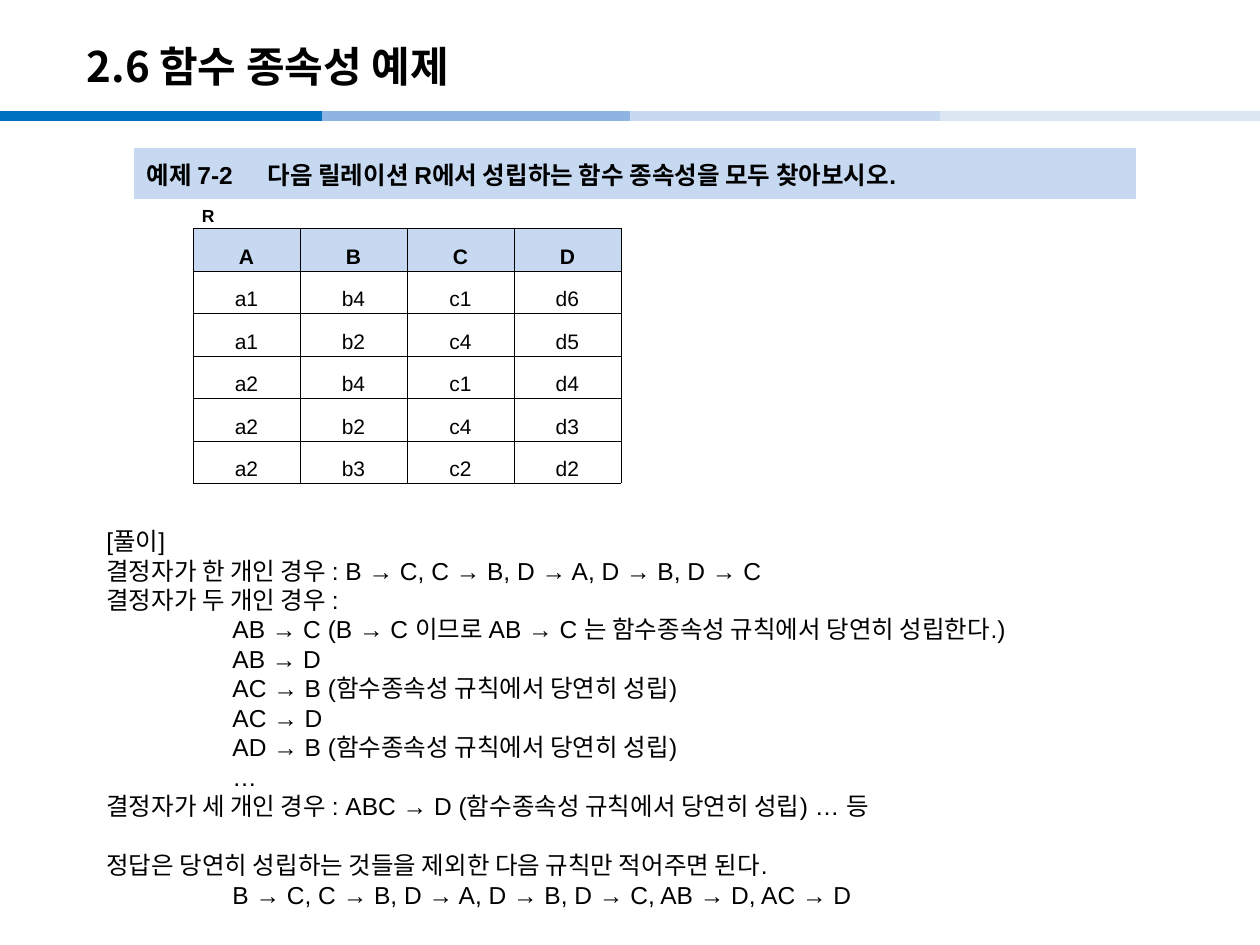
from lxml.etree import SubElement
from pptx import Presentation
from pptx.dml.color import RGBColor
from pptx.enum.shapes import MSO_CONNECTOR
from pptx.enum.text import MSO_ANCHOR, MSO_AUTO_SIZE, PP_ALIGN
from pptx.oxml.ns import qn
from pptx.util import Emu, Pt

EMU_PER_PX = 914400 / 126
COLORS = {
    "ink": "000000",
    "paper": "FFFFFF",
    "pale": "C6D9F1",
    "bands": ["0070C0", "8EB4E3", "C6D9F1", "DCE6F2"],
}
HANGUL_FONT = "Noto Sans CJK KR"
PLAIN_TABLE_STYLE = "{2D5ABB26-0587-4C30-8999-92F81FD0307C}"
TITLE_FORMAT = {"size": Pt(24), "name": HANGUL_FONT, "bold": True}
QUESTION_FORMAT = {"size": Pt(14), "name": "Arial", "bold": True}
CAPTION_FORMAT = {"size": Pt(10), "name": "Arial", "bold": True}
HEADING_FORMAT = {"size": Pt(12), "name": "Arial", "bold": True}
VALUE_FORMAT = {"size": Pt(12), "name": "Arial", "bold": False}
SOLUTION_FORMAT = {"size": Pt(14), "name": "Arial", "bold": False}

RELATION = [
    ["A", "B", "C", "D"],
    ["a1", "b4", "c1", "d6"],
    ["a1", "b2", "c4", "d5"],
    ["a2", "b4", "c1", "d4"],
    ["a2", "b2", "c4", "d3"],
    ["a2", "b3", "c2", "d2"],
]
SOLUTION = [
    "[풀이]",
    "결정자가 한 개인 경우 : B → C, C → B, D → A, D → B, D → C",
    "결정자가 두 개인 경우 :",
    "\tAB → C (B → C 이므로 AB → C 는 함수종속성 규칙에서 당연히 성립한다.)\v\tAB → D",
    "\tAC → B (함수종속성 규칙에서 당연히 성립)",
    "\tAC → D",
    "\tAD → B (함수종속성 규칙에서 당연히 성립)",
    "\t…",
    "결정자가 세 개인 경우 : ABC → D (함수종속성 규칙에서 당연히 성립) … 등",
    "정답은 당연히 성립하는 것들을 제외한 다음 규칙만 적어주면 된다.",
    "\tB → C, C → B, D → A, D → B, D → C, AB → D, AC → D",
]


def px(length):
    return Emu(round(length * EMU_PER_PX))


def rgb(color):
    return RGBColor.from_string(COLORS.get(color, color))


def set_values(target, values):
    for key, value in values.items():
        setattr(target, key, value)


def place(element, left, top, width, height):
    set_values(element, {"left": px(left), "top": px(top),
                         "width": px(width), "height": px(height)})


def write(paragraph, text, font_format):
    paragraph.text = text
    for run in paragraph.runs:
        set_values(run.font, font_format)
        run.font.color.rgb = rgb("ink")
        run.font._element.set("kern", "0")
        SubElement(run.font._element, qn("a:ea"), typeface=HANGUL_FONT)


def add_tab_stop(paragraph, position):
    tabs = SubElement(paragraph._p.get_or_add_pPr(), qn("a:tabLst"))
    SubElement(tabs, qn("a:tab"), pos=str(px(position)), algn="l")


def fill_cell(cell, color=None):
    if color:
        cell.fill.solid()
        cell.fill.fore_color.rgb = rgb(color)
    else:
        cell.fill.background()


def add_borders(cell, sides):
    properties = cell._tc.get_or_add_tcPr()
    for index, side in enumerate(sides):
        border = properties.makeelement(qn(f"a:ln{side}"), {"w": "3600"})
        fill = SubElement(border, qn("a:solidFill"))
        SubElement(fill, qn("a:srgbClr"), val=COLORS["ink"])
        properties.insert(index, border)


def add_plain_table(slide, left, top, column_widths, row_heights):
    frame = slide.shapes.add_table(
        len(row_heights), len(column_widths), px(left), px(top),
        px(sum(column_widths)), px(sum(row_heights)))
    table = frame.table
    set_values(table, {"first_row": False, "horz_banding": False})
    table._tbl.tblPr.find(qn("a:tableStyleId")).text = PLAIN_TABLE_STYLE
    for column, width in zip(table.columns, column_widths):
        column.width = px(width)
    for row, height in zip(table.rows, row_heights):
        row.height = px(height)
    return table


def add_title(slide, text):
    title = slide.shapes.title
    place(title, 74, 28, 1042, 76)
    set_values(title.text_frame, {"vertical_anchor": MSO_ANCHOR.MIDDLE,
                                  "auto_size": MSO_AUTO_SIZE.NONE,
                                  "word_wrap": True})
    heading = title.text_frame.paragraphs[0]
    write(heading, text, TITLE_FORMAT)
    heading.alignment = PP_ALIGN.LEFT


def add_band(slide, left, color):
    band = slide.shapes.add_connector(
        MSO_CONNECTOR.STRAIGHT, px(left), px(116), px(left + 322), px(116))
    band.line.color.rgb = rgb(color)
    band.line.width = Pt(6)
    SubElement(band._element.spPr, qn("a:effectLst"))


def add_question(slide, text):
    table = add_plain_table(slide, 134, 148, [1002], [51, 51])
    question, below = table.cell(0, 0), table.cell(1, 0)
    fill_cell(question, "pale")
    fill_cell(below, "paper")
    question.vertical_anchor = MSO_ANCHOR.MIDDLE
    paragraph = question.text_frame.paragraphs[0]
    write(paragraph, text, QUESTION_FORMAT)
    add_tab_stop(paragraph, 121)


def write_relation_cell(cell, text, font_format, alignment):
    set_values(cell, {"vertical_anchor": MSO_ANCHOR.MIDDLE,
                      "margin_left": px(9), "margin_right": px(9),
                      "margin_top": px(2), "margin_bottom": px(2)})
    paragraph = cell.text_frame.paragraphs[0]
    write(paragraph, text, font_format)
    set_values(paragraph, {"alignment": alignment, "line_spacing": 1.6})
    if not text:
        size = round(font_format["size"].pt * 100)
        SubElement(paragraph._p, qn("a:endParaRPr"), sz=str(size))


def add_relation(slide, name, rows):
    heights = [35] + [43 - index % 2 for index in range(len(rows))]
    table = add_plain_table(slide, 193, 193, [107] * len(rows[0]), heights)
    for column_index, cell in enumerate(table.rows[0].cells):
        write_relation_cell(cell, "" if column_index else name,
                            CAPTION_FORMAT, PP_ALIGN.LEFT)
        fill_cell(cell)
        add_borders(cell, "B")
    table.cell(0, 0).merge(table.cell(0, 2))
    for row_index, row in enumerate(rows, 1):
        is_heading = row_index == 1
        for column_index, value in enumerate(row):
            cell = table.cell(row_index, column_index)
            write_relation_cell(
                cell, value, HEADING_FORMAT if is_heading else VALUE_FORMAT,
                PP_ALIGN.CENTER)
            fill_cell(cell, "pale" if is_heading else None)
            add_borders(cell, "LRTB")


def add_solution(slide, lines):
    solution = slide.shapes.add_textbox(px(94), px(520), px(1052), px(398))
    frame = solution.text_frame
    frame.word_wrap = True
    for index, line in enumerate(lines):
        paragraph = frame.add_paragraph() if index else frame.paragraphs[0]
        write(paragraph, line, SOLUTION_FORMAT)
        if line.startswith("정답은"):
            paragraph.space_before = Pt(17)
        if line.startswith("\t"):
            add_tab_stop(paragraph, 126)


def main():
    presentation = Presentation()
    set_values(presentation, {"slide_width": px(1260), "slide_height": px(945)})
    slide = presentation.slides.add_slide(presentation.slide_layouts[5])
    for left, color in zip([0, 322, 630, 940], COLORS["bands"]):
        add_band(slide, left, color)
    add_question(slide, "예제 7-2\t다음 릴레이션 R에서 성립하는 함수 종속성을 모두 찾아보시오.")
    add_relation(slide, "R", RELATION)
    add_solution(slide, SOLUTION)
    add_title(slide, "2.6 함수 종속성 예제")
    presentation.save("out.pptx")


if __name__ == "__main__":
    main()
